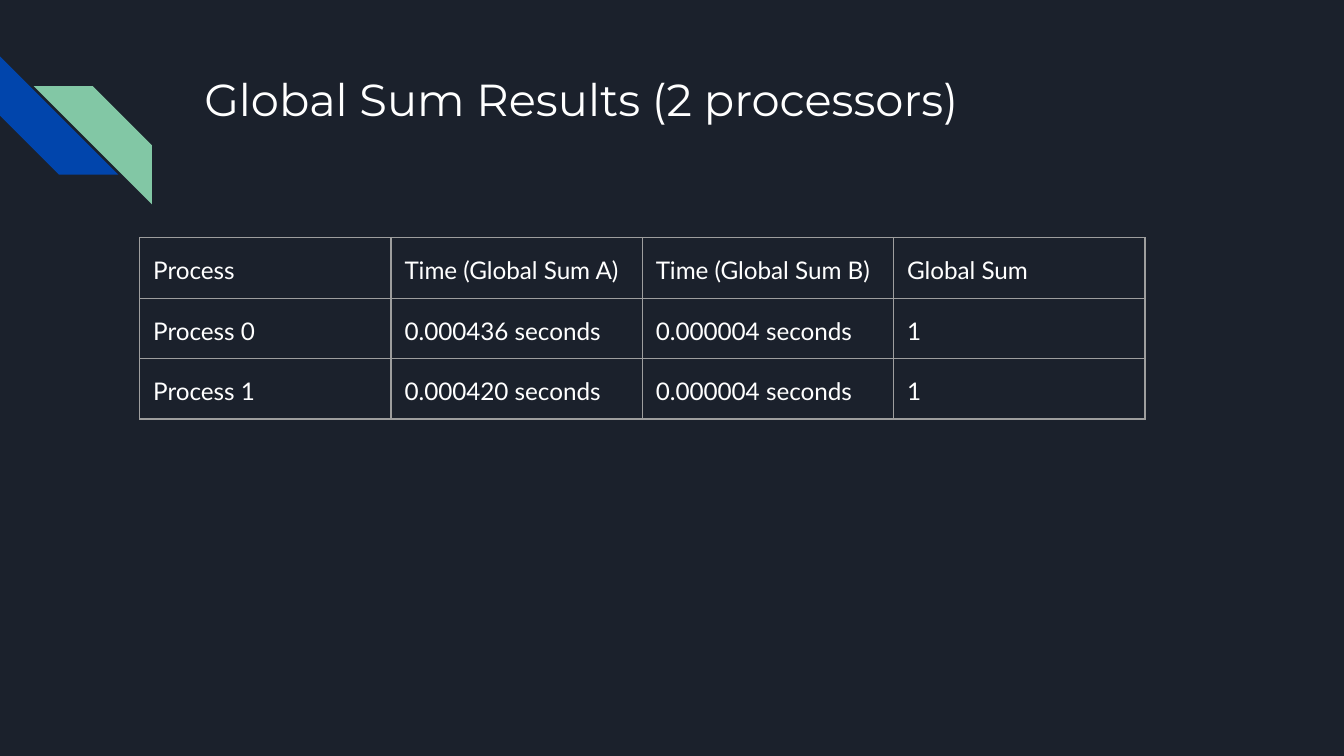
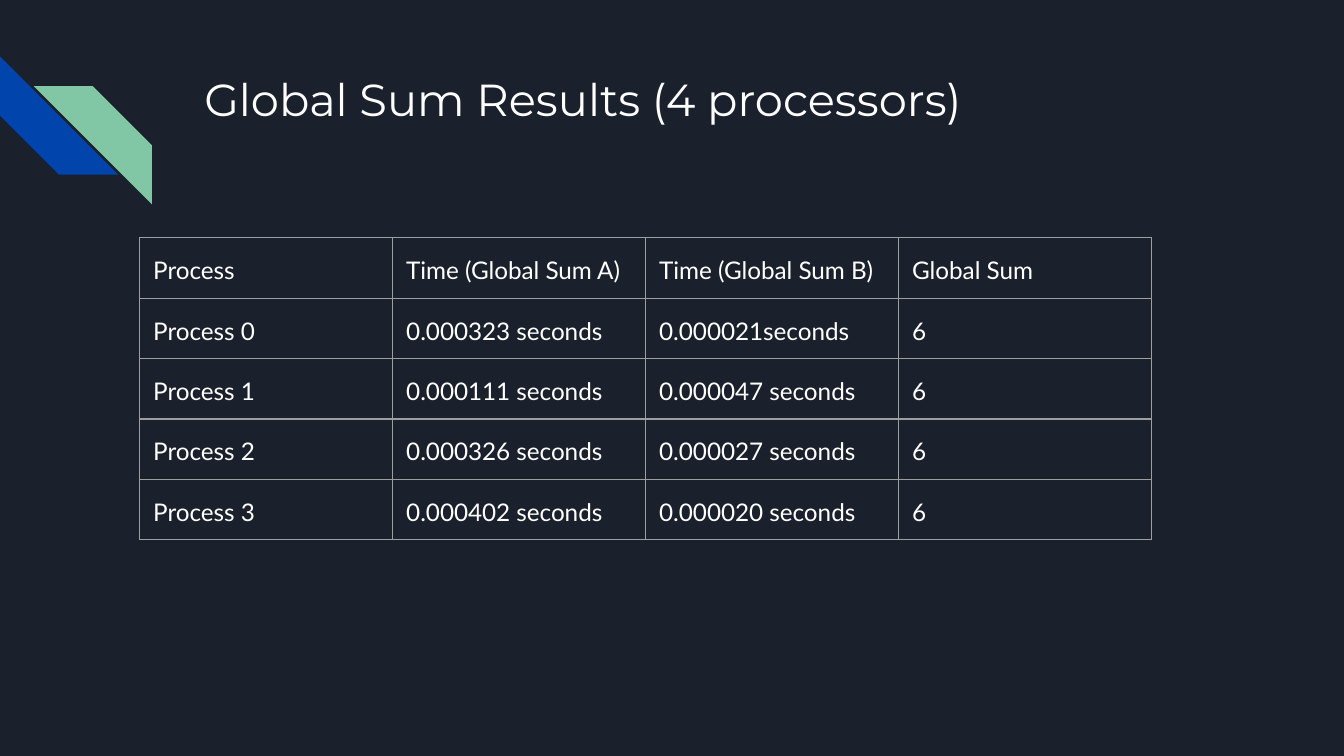
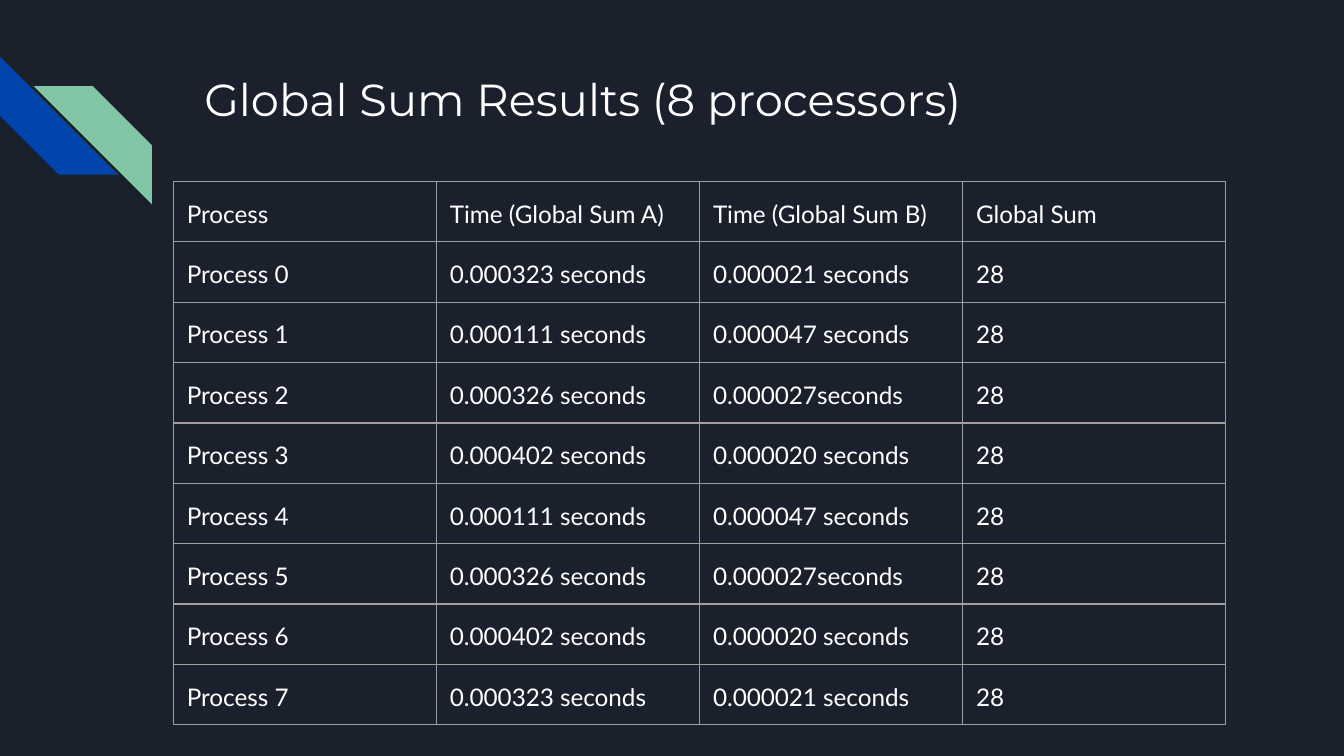
from dataclasses import dataclass

from lxml.etree import SubElement
from pptx import Presentation
from pptx.dml.color import RGBColor
from pptx.enum.shapes import MSO_SHAPE
from pptx.enum.text import MSO_ANCHOR, MSO_AUTO_SIZE, PP_ALIGN
from pptx.oxml.ns import qn
from pptx.util import Inches, Pt


@dataclass(frozen=True)
class Theme:
    background: str = "1B212C"
    blue: str = "0145AC"
    green: str = "82C7A5"
    text: str = "FFFFFF"
    border: str = "9E9E9E"
    border_width: float = 0.75
    title_font: str = "Montserrat"
    body_font: str = "Lato"
    title_size: int = 24
    body_size: int = 13


THEME = Theme()
TITLE_ONLY = 5
STRIPE_SIZE = 0.88
ROW_HEIGHT = 0.42
INSET = 0.1
HEADERS = ["Process", "Time (Global Sum A)", "Time (Global Sum B)", "Global Sum"]

TWO_PROCESSOR_TIMES = [
    ("0.000436 seconds", "0.000004 seconds"),
    ("0.000420 seconds", "0.000004 seconds"),
]
FOUR_PROCESSOR_TIMES = [
    ("0.000323 seconds", "0.000021seconds"),
    ("0.000111 seconds", "0.000047 seconds"),
    ("0.000326 seconds", "0.000027 seconds"),
    ("0.000402 seconds", "0.000020 seconds"),
]
EIGHT_PROCESSOR_TIMES = [
    ("0.000323 seconds", "0.000021 seconds"),
    ("0.000111 seconds", "0.000047 seconds"),
    ("0.000326 seconds", "0.000027seconds"),
    ("0.000402 seconds", "0.000020 seconds"),
    ("0.000111 seconds", "0.000047 seconds"),
    ("0.000326 seconds", "0.000027seconds"),
    ("0.000402 seconds", "0.000020 seconds"),
    ("0.000323 seconds", "0.000021 seconds"),
]


def format_paragraph(para, font, size):
    para.alignment = PP_ALIGN.LEFT
    for span in para.runs:
        span.font.name = font
        span.font.size = Pt(size)
        span.font.color.rgb = RGBColor.from_string(THEME.text)


def set_insets(target):
    target.margin_left = target.margin_right = Inches(INSET)
    target.margin_top = target.margin_bottom = Inches(INSET)


def add_stripe(page, left, top, color):
    stripe = page.shapes.add_shape(
        MSO_SHAPE.DIAGONAL_STRIPE,
        Inches(left), Inches(top), Inches(STRIPE_SIZE), Inches(STRIPE_SIZE),
    )
    stripe.adjustments[0] = 0.5
    stripe.shadow.inherit = False
    stripe.fill.solid()
    stripe.fill.fore_color.rgb = RGBColor.from_string(color)
    stripe.line.fill.background()
    return stripe


def add_corner_stripes(page):
    add_stripe(page, 0, 0.42, THEME.blue).rotation = 270
    green_stripe = add_stripe(page, 0.25, 0.64, THEME.green)
    green_stripe.element.spPr.find(qn("a:xfrm")).set("flipH", "1")


def set_title(page, text):
    title = page.shapes.title
    title.left, title.top = Inches(1.42), Inches(0.43)
    title.width, title.height = Inches(7.7), Inches(1)
    frame = title.text_frame
    frame.text = text
    frame.word_wrap = True
    frame.auto_size = MSO_AUTO_SIZE.NONE
    frame.vertical_anchor = MSO_ANCHOR.TOP
    set_insets(frame)
    format_paragraph(frame.paragraphs[0], THEME.title_font, THEME.title_size)


def set_borders(cell):
    properties = cell._tc.get_or_add_tcPr()
    for side in ("a:lnL", "a:lnR", "a:lnT", "a:lnB"):
        line = SubElement(properties, qn(side), w=str(Pt(THEME.border_width)))
        fill = SubElement(line, qn("a:solidFill"))
        SubElement(fill, qn("a:srgbClr"), val=THEME.border)


def fill_cell(cell, text):
    set_borders(cell)
    cell.fill.background()
    set_insets(cell)
    cell.vertical_anchor = MSO_ANCHOR.TOP
    cell.text_frame.text = text
    para = cell.text_frame.paragraphs[0]
    para.line_spacing = 1.15
    para.space_after = Pt(12)
    format_paragraph(para, THEME.body_font, THEME.body_size)


def add_results_table(page, left, top, width, rows):
    table = page.shapes.add_table(
        len(rows), len(HEADERS), Inches(left), Inches(top),
        Inches(width), Inches(ROW_HEIGHT * len(rows)),
    ).table
    table.first_row = False
    table.horz_banding = False
    for row, values in zip(table.rows, rows):
        row.height = Inches(ROW_HEIGHT)
        for cell, text in zip(row.cells, values):
            fill_cell(cell, text)


def add_results_page(deck, times, left, top, width):
    page = deck.slides.add_slide(deck.slide_layouts[TITLE_ONLY])
    add_corner_stripes(page)
    count = len(times)
    set_title(page, f"Global Sum Results ({count} processors)")
    global_sum = str(sum(range(count)))
    rows = [HEADERS] + [
        [f"Process {rank}", time_a, time_b, global_sum]
        for rank, (time_a, time_b) in enumerate(times)
    ]
    add_results_table(page, left, top, width, rows)


def main():
    deck = Presentation()
    deck.slide_width = Inches(10)
    deck.slide_height = deck.slide_width * 9 // 16
    background = deck.slide_master.background.fill
    background.solid()
    background.fore_color.rgb = RGBColor.from_string(THEME.background)
    add_results_page(deck, TWO_PROCESSOR_TIMES, 1.04, 1.77, 7.48)
    add_results_page(deck, FOUR_PROCESSOR_TIMES, 1.04, 1.77, 7.53)
    add_results_page(deck, EIGHT_PROCESSOR_TIMES, 1.29, 1.35, 7.83)
    deck.save("out.pptx")


if __name__ == "__main__":
    main()
